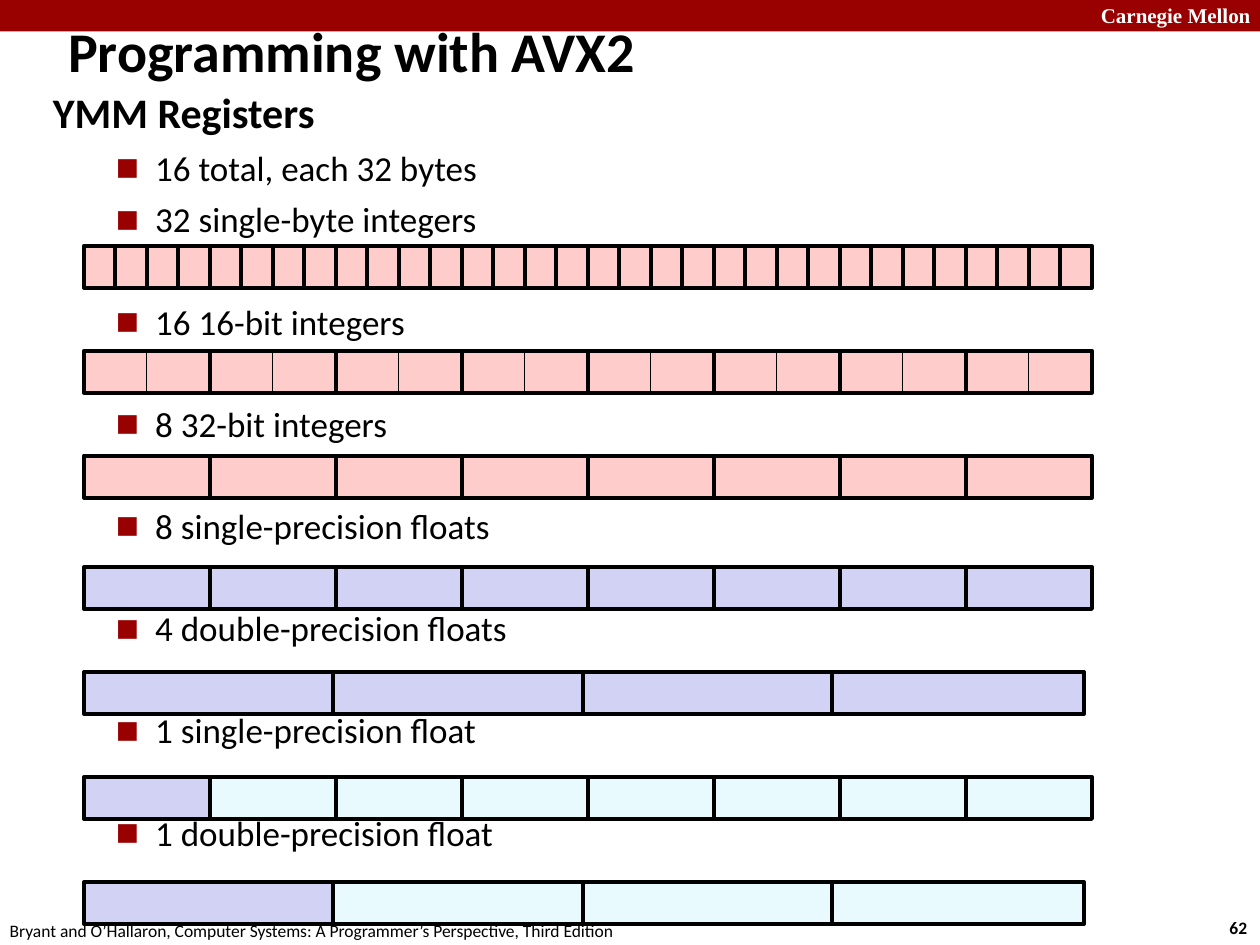
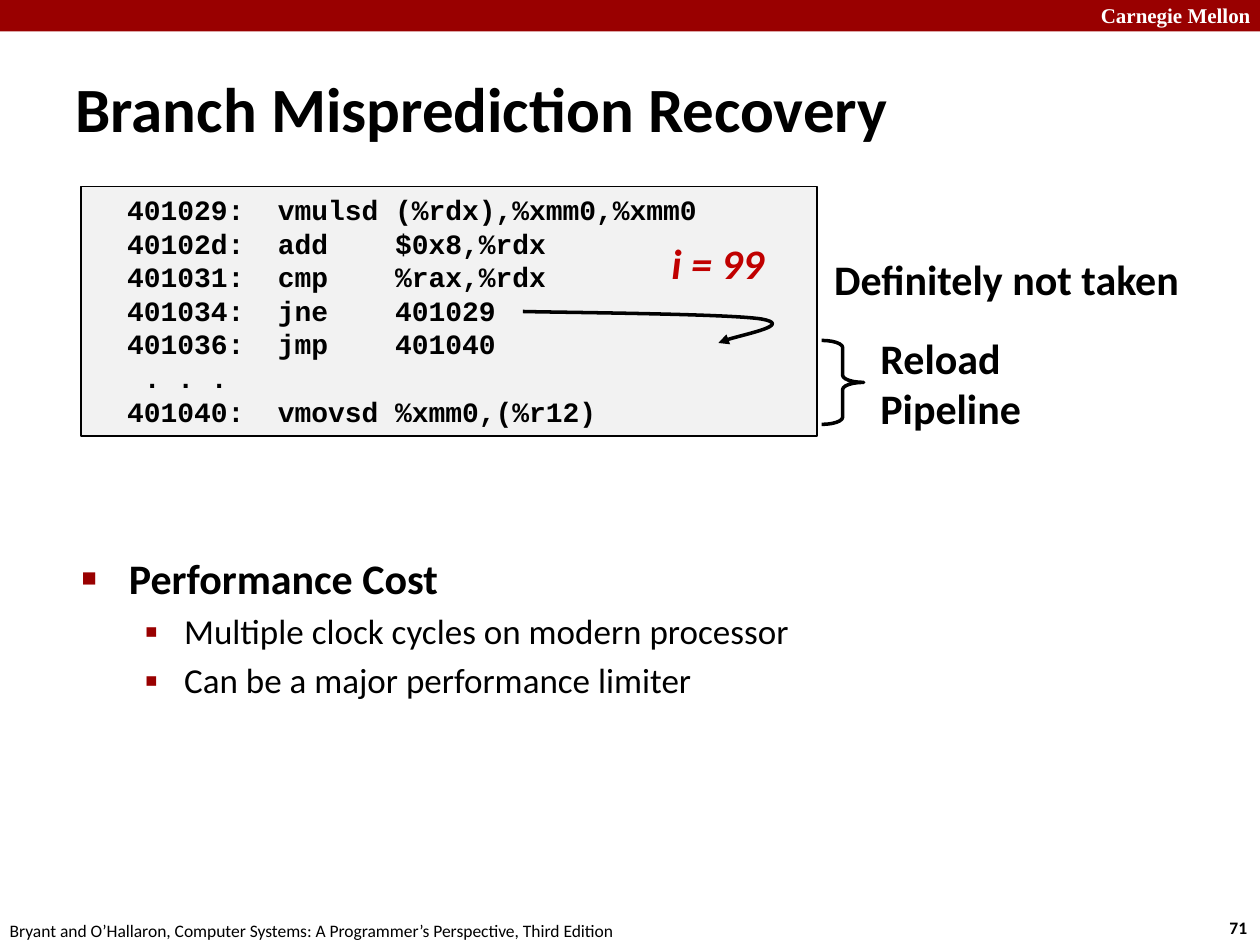
from pptx import Presentation
from pptx.dml.color import RGBColor
from pptx.enum.shapes import MSO_SHAPE
from pptx.enum.text import MSO_ANCHOR, MSO_AUTO_SIZE, PP_ALIGN
from pptx.oxml.ns import qn
from pptx.util import Pt
from lxml import etree

RED, BLACK, WHITE = "990000", "000000", "FFFFFF"
PINK, LILAC, PALE = "FFCCCC", "D2D2F4", "E9FAFF"
SOURCE = ("Bryant and O’Hallaron, Computer Systems: "
          "A Programmer’s Perspective, Third Edition")

BASE = {"size": 24, "name": "Calibri", "color": BLACK, "bold": True}
SMALL = {**BASE, "size": 10}
ITEM = {**BASE, "size": 20, "bold": False}
CODE = {**BASE, "size": 16, "name": "Courier New"}

REG_LEFT, REG_HEIGHT = 48, 24


def rgb(value):
    return RGBColor.from_string(value)


# Text
def write(p, text, fmt):
    r = p.add_run()
    r.text = text
    for key, value in fmt.items():
        if key == "color":
            r.font.color.rgb = rgb(value)
        else:
            setattr(r.font, key, Pt(value) if key == "size" else value)


def paragraphs(tf, count):
    return [tf.paragraphs[0]] + [tf.add_paragraph() for _ in range(count - 1)]


def fill_lines(tf, lines, fmt):
    for p, line in zip(paragraphs(tf, len(lines)), lines):
        p.alignment = PP_ALIGN.LEFT
        write(p, line, fmt)


def add_label(s, box, lines, fmt=BASE, wrap=False):
    tf = s.shapes.add_textbox(*map(Pt, box)).text_frame
    tf.word_wrap = wrap
    fill_lines(tf, lines, fmt)


def place(sp, box):
    sp.left, sp.top, sp.width, sp.height = map(Pt, box)
    sp.text_frame.auto_size = MSO_AUTO_SIZE.NONE
    return sp.text_frame


def set_indent(p, left, hang):
    pPr = p._p.get_or_add_pPr()
    pPr.set("marL", str(Pt(left)))
    pPr.set("indent", str(-Pt(hang)))
    return pPr


def set_bullet(pPr, char, percent):
    if not char:
        etree.SubElement(pPr, qn("a:buNone"))
        return
    color = etree.SubElement(pPr, qn("a:buClr"))
    etree.SubElement(color, qn("a:srgbClr"), val=RED)
    etree.SubElement(pPr, qn("a:buSzPct"), val=str(percent * 1000))
    etree.SubElement(pPr, qn("a:buChar"), char=char)


def set_title(s, box, text, size):
    tf = place(s.shapes.title, box)
    tf.vertical_anchor = MSO_ANCHOR.MIDDLE
    p = tf.paragraphs[0]
    p.alignment = PP_ALIGN.LEFT
    set_indent(p, 9, 9)
    write(p, text, {**BASE, "size": size})


def set_list(s, box, heading, items, heading_bullet, item_bullet,
             gaps, spacing=1.0):
    """Fill the body with a heading and items; gaps holds each item's space before."""
    ps = paragraphs(place(s.placeholders[1], box), len(items) + 1)
    ps[0].space_before = Pt(0)
    ps[0].line_spacing = spacing
    set_bullet(set_indent(ps[0], 27, 27), heading_bullet, 60)
    write(ps[0], heading, BASE)
    for p, item, gap in zip(ps[1:], items, gaps):
        p.level = 1
        p.space_before = Pt(gap)
        p.line_spacing = spacing
        set_bullet(set_indent(p, 58.5, 22.5), item_bullet, 110)
        write(p, item, ITEM)


# Shapes
def style(sp, fill=None, line=None, width=1):
    sp.shadow.inherit = False
    if fill:
        sp.fill.solid()
        sp.fill.fore_color.rgb = rgb(fill)
    else:
        sp.fill.background()
    if line:
        sp.line.color.rgb = rgb(line)
        sp.line.width = Pt(width)
    else:
        sp.line.fill.background()


def add_box(shapes, box, fill=None, line=None, width=1, kind=MSO_SHAPE.RECTANGLE):
    sp = shapes.add_shape(kind, *map(Pt, box))
    style(sp, fill, line, width)
    return sp


def add_register(shapes, top, fills, width, step=None, line=2.25):
    for i, fill in enumerate(fills):
        left = REG_LEFT + i * (step or width)
        add_box(shapes, (left, top, width, REG_HEIGHT), fill, BLACK, line)


def add_curved_arrow(s, points):
    """Draw cubic curves: a start, then three points for each curve."""
    start, *rest = [(Pt(x), Pt(y)) for x, y in points]
    builder = s.shapes.build_freeform(*start)
    builder.add_line_segments(rest, close=False)
    sp = builder.convert_to_shape()
    style(sp, line=BLACK, width=2)
    outline = next(sp._element.iter(qn("a:path")))
    segments = outline.findall(qn("a:lnTo"))
    for i in range(0, len(segments), 3):
        curve = etree.SubElement(outline, qn("a:cubicBezTo"))
        for segment in segments[i:i + 3]:
            curve.append(segment[0])
            outline.remove(segment)
    ln = sp.line._get_or_add_ln()
    etree.SubElement(ln, qn("a:tailEnd"), type="triangle")


# Slide frame: band, school name, page number and source
def new_slide(prs, number):
    s = prs.slides.add_slide(prs.slide_layouts[1])
    add_box(s.shapes, (0, 0, 720, 18), RED)
    add_label(s, (622, -2, 103, 22), ["Carnegie Mellon"],
              {"size": 12, "name": "Times New Roman", "color": WHITE, "bold": True},
              wrap=True)
    add_label(s, (695.5, 520.5, 26.6, 19.4), [str(number)], SMALL)
    add_label(s, (-1.5, 522, 366, 19.4), [SOURCE], {**SMALL, "bold": False})
    return s


def registers_slide(prs):
    s = new_slide(prs, 62)
    set_title(s, (31.75, -2, 686, 61), "Programming with AVX2", 32)
    items = ["16 total, each 32 bytes", "32 single-byte integers",
             "16 16-bit integers", "8 32-bit integers",
             "8 single-precision floats", "4 double-precision floats",
             "1 single-precision float", "1 double-precision float"]
    set_list(s, (23, 44.5, 654.5, 484), "YMM Registers", items, None, "■",
             [4.2] * 2 + [33.2] * 6, 1.05)

    # Integer registers
    add_register(s.shapes, 140.4, [PINK] * 32, 18)
    halves = s.shapes.add_group_shape().shapes
    add_register(halves, 200.4, [PINK] * 16, 36, line=0.5)
    add_register(s.shapes, 200.4, [None] * 8, 72)
    add_register(s.shapes, 260.4, [PINK] * 8, 72)

    # Floating-point registers: packed, then scalar
    add_register(s.shapes, 324, [LILAC] * 8, 72)
    add_register(s.shapes, 384, [LILAC] * 4, 144, 142.5)
    add_register(s.shapes, 444, [LILAC] + [PALE] * 7, 72)
    add_register(s.shapes, 504, [LILAC] + [PALE] * 3, 144, 142.5)


def recovery_slide(prs):
    s = new_slide(prs, 71)
    set_title(s, (36, 39, 595, 45), "Branch Misprediction Recovery", 36)
    set_list(s, (39.5, 312, 631, 108), "Performance Cost",
             ["Multiple clock cycles on modern processor",
              "Can be a major performance limiter"], "■", "▪", [4] * 2)

    # Assembly listing
    code = ["  401029:  vmulsd (%rdx),%xmm0,%xmm0",
            "  40102d:  add    $0x8,%rdx",
            "  401031:  cmp    %rax,%rdx",
            "  401034:  jne    401029",
            "  401036:  jmp    401040",
            "   . . .",
            "  401040:  vmovsd %xmm0,(%r12)"]
    listing = add_box(s.shapes, (46.5, 106.5, 420.5, 142.5), "F2F2F2", BLACK)
    listing.text_frame.vertical_anchor = MSO_ANCHOR.TOP
    fill_lines(listing.text_frame, code, CODE)

    # Annotations
    add_curved_arrow(s, [(298.8, 178), (322, 178.6), (416, 179.3), (435, 182.3),
                         (453.6, 185.6), (415.5, 193), (410.5, 196)])
    add_label(s, (376.5, 132, 67.5, 36), ["i = 99"],
              {**BASE, "color": "C00000", "italic": True})
    add_label(s, (469.5, 141.25, 214, 36), ["Definitely not taken"])
    brace = add_box(s.shapes, (469.5, 194.5, 24, 48), None, BLACK, 2,
                    MSO_SHAPE.RIGHT_BRACE)
    brace.adjustments[0] = 0.17
    add_label(s, (496, 186.5, 96, 65.5), ["Reload", "Pipeline"])


def main():
    prs = Presentation()
    prs.slide_width, prs.slide_height = Pt(720), Pt(540)
    registers_slide(prs)
    recovery_slide(prs)
    prs.save("out.pptx")


if __name__ == "__main__":
    main()
